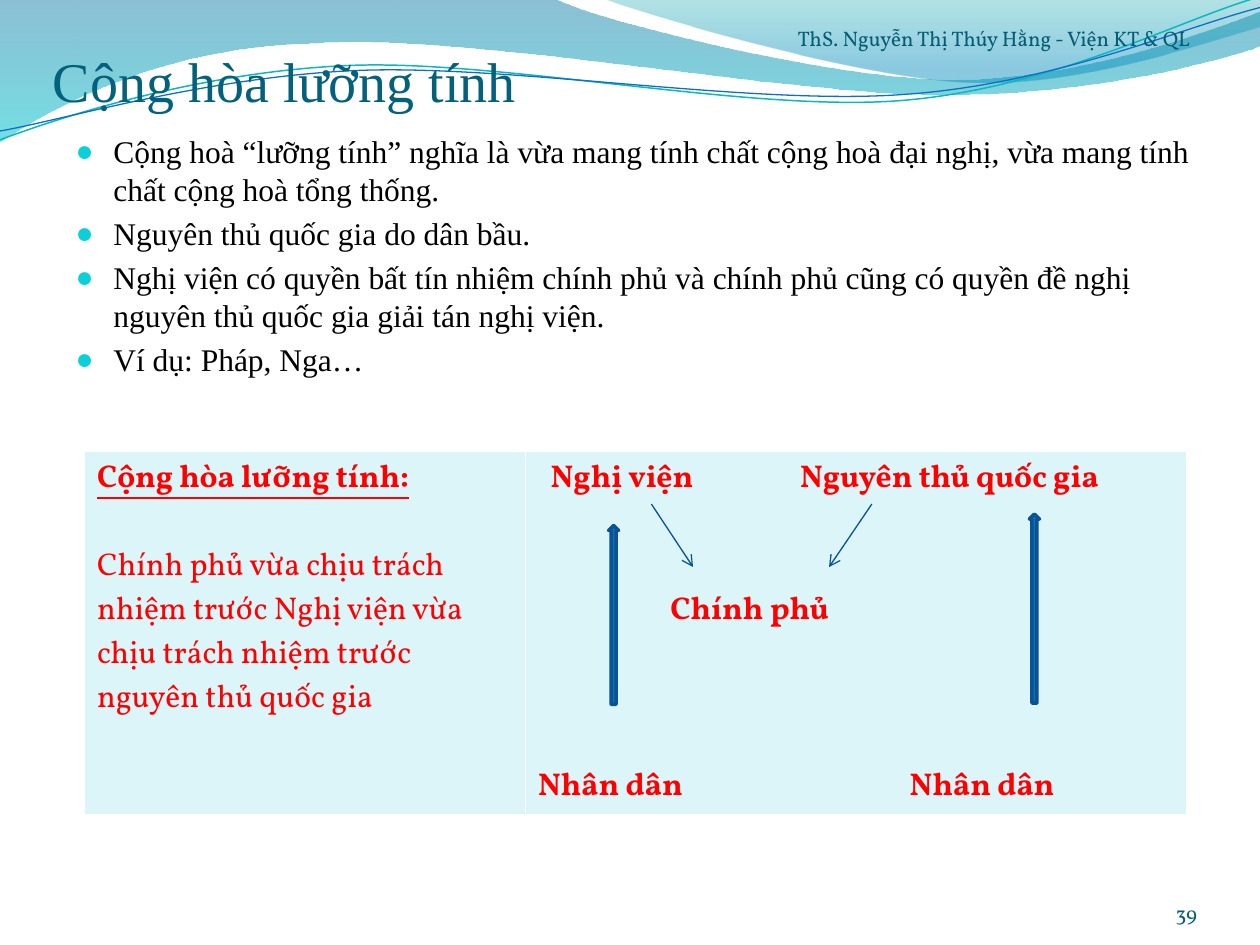
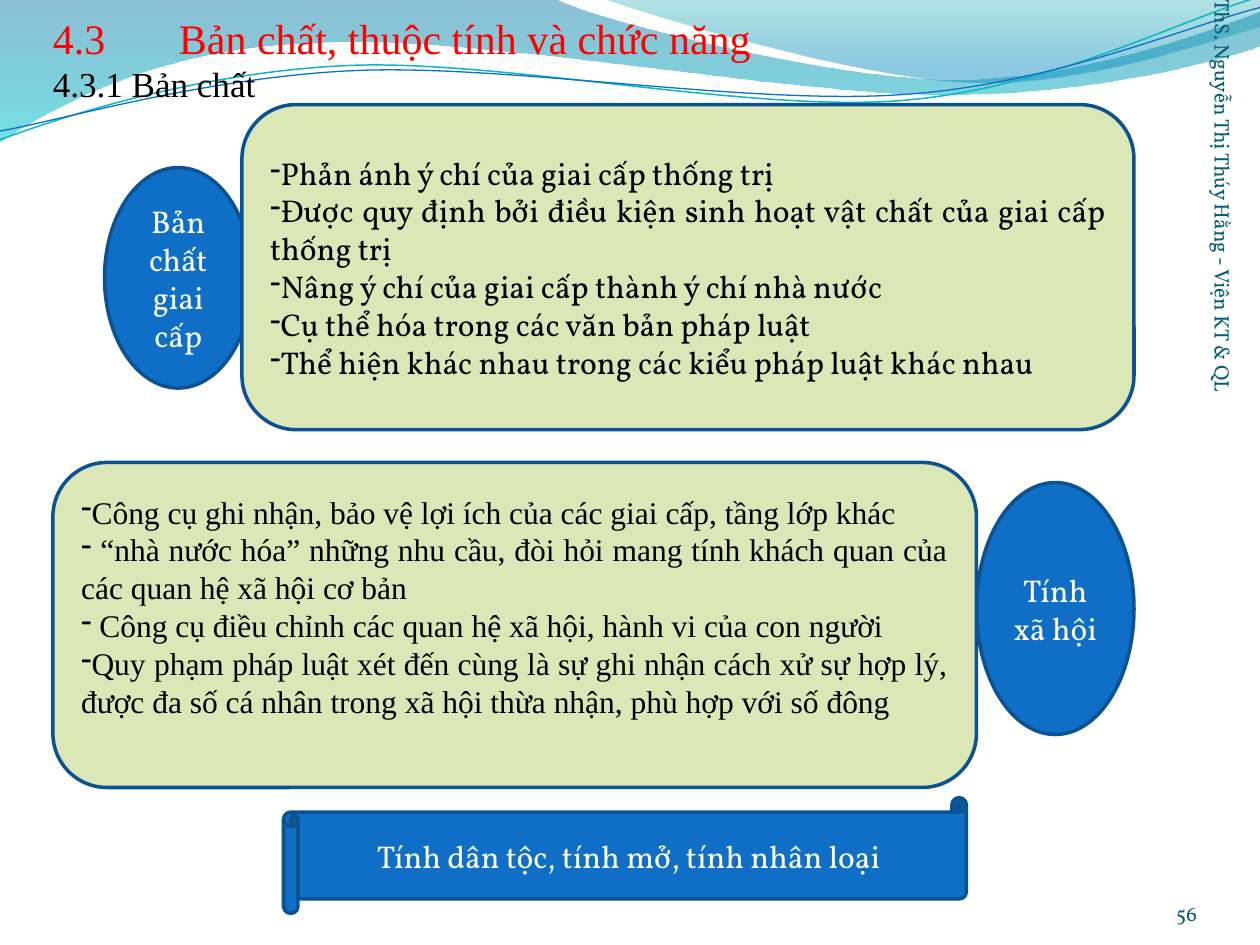
import math

from lxml import etree
from pptx import Presentation
from pptx.dml.color import RGBColor
from pptx.enum import shapes, text
from pptx.oxml import parse_xml
from pptx.oxml.ns import nsdecls, qn
from pptx.util import Inches, Pt

SERIF, BODY = "Times New Roman", "Vollkorn"
TITLE, FOOTER, RED = "04617B", "045D75", "FF0000"
BLUE, EDGE, GREEN, PALE = "0F6FC6", "0B5292", "DBE7B6", "DBF5F9"
BLACK, WHITE, CYAN, ARROW = "000000", "FFFFFF", "0BD0D9", "095295"
LEFT, RIGHT = text.PP_ALIGN.LEFT, text.PP_ALIGN.RIGHT
CENTER, JUSTIFY = text.PP_ALIGN.CENTER, text.PP_ALIGN.JUSTIFY
TOP, MIDDLE, BOTTOM = text.MSO_ANCHOR.TOP, text.MSO_ANCHOR.MIDDLE, text.MSO_ANCHOR.BOTTOM
LINE_PITCH, BLANK_LINE = Pt(21.6), 25.2
WAVE_TILT = 2.7

BANDS = [
    ([(0, 0), (4.4, -0.01), (4.76, 0.17, 6.64, 0.63, 7.58, 0.63),
      (8.53, 0.63, 9.58, 0.26, 10, 0.09), (10.01, 0.36),
      (9.83, 0.44, 8.7, 0.76, 7.46, 0.75), (6.22, 0.75, 3.82, 0.28, 2.57, 0.34),
      (1.29, 0.36, 0.46, 0.83, -0.01, 1.13), (0, 0)],
     [(0, "0074A1", 45), (100, "00C6CF", 55)]),
    ([(4.79, -0.01), (5.09, 0.11, 6.82, 0.62, 7.69, 0.65),
      (8.56, 0.69, 9.61, 0.32, 10, 0.21), (10, 0), (4.79, -0.01)],
     [(0, "00A1A9", 30), (80, "008BBF", 45)]),
]
WAVES = [
    ([(0, 1.11), (0.48, 0.93, 1.58, 0.57, 2.77, 0.52),
      (3.95, 0.47, 5.93, 0.89, 7.13, 0.8), (8.33, 0.71, 9.38, 0.15, 9.98, -0.02)],
     (4.99, 0.57), "0AB8BF", 0.85),
    ([(0, 1.04), (0.47, 0.96, 1.64, 0.61, 2.83, 0.56),
      (4.03, 0.51, 5.97, 0.84, 7.17, 0.75), (8.36, 0.67, 9.41, 0.21, 10, 0.06)],
     (5, 0.59), BLUE, 0.75),
]


def rgb(value):
    return RGBColor.from_string(value)


def box(values):
    return [Inches(value) for value in values]


def add_run(paragraph, words, size, font, color, bold=False, underline=False):
    run = paragraph.add_run()
    run.text = words
    run.font.size, run.font.name = Pt(size), font
    run.font.bold, run.font.underline = bold, underline
    run.font.color.rgb = rgb(color)


def next_paragraph(frame, index):
    return frame.add_paragraph() if index else frame.paragraphs[0]


def set_frame(frame, anchor, margins=(0.1, 0.05, 0.1, 0.05)):
    frame.word_wrap = True
    frame.auto_size = text.MSO_AUTO_SIZE.NONE
    frame.vertical_anchor = anchor
    (frame.margin_left, frame.margin_top,
     frame.margin_right, frame.margin_bottom) = box(margins)


def place(shape, at):
    shape.left, shape.top, shape.width, shape.height = box(at)


def add_bullet(paragraph, mark, color=None, size=100, indent=0):
    props = paragraph._p.get_or_add_pPr()
    props.set("marL", str(Inches(indent)))
    props.set("indent", str(-Inches(indent)))
    if color:
        tint = etree.SubElement(props, qn("a:buClr"))
        etree.SubElement(tint, qn("a:srgbClr"), val=color)
    etree.SubElement(props, qn("a:buSzPct"), val=str(size * 1000))
    if not color:
        etree.SubElement(props, qn("a:buFontTx"))
    etree.SubElement(props, qn("a:buChar"), char=mark)


def add_tabs(paragraph, stops):
    tabs = etree.SubElement(paragraph._p.get_or_add_pPr(), qn("a:tabLst"))
    for stop in stops:
        etree.SubElement(tabs, qn("a:tab"), pos=str(Inches(stop)), algn="l")


def turn(points, center, degrees):
    cos, sin = math.cos(math.radians(degrees)), math.sin(math.radians(degrees))
    turned = []
    for segment in points:
        pairs = [(x - center[0], y - center[1]) for x, y in zip(segment[::2], segment[1::2])]
        turned.append(tuple(value for x, y in pairs for value in (
            center[0] + x * cos - y * sin, center[1] + x * sin + y * cos)))
    return turned


def add_outline(slide, points, close):
    anchors = [box(segment[-2:]) for segment in points]
    builder = slide.shapes.build_freeform(*anchors[0])
    builder.add_line_segments(anchors[1:], close=close)
    outline = builder.convert_to_shape()
    outline.shadow.inherit = False
    strokes = list(outline.element.iter(qn("a:lnTo")))
    for stroke, segment in zip(strokes, points[1:]):
        if len(segment) == 6:
            curve = etree.Element(qn("a:cubicBezTo"))
            for x, y in zip(segment[::2], segment[1::2]):
                etree.SubElement(curve, qn("a:pt"), x=str(Inches(x) - outline.left),
                                 y=str(Inches(y) - outline.top))
            stroke.getparent().replace(stroke, curve)
    return outline


def add_band(slide, points, stops):
    band = add_outline(slide, points, True)
    band.line.fill.background()
    colors = "".join(
        f'<a:gs pos="{pos * 1000}"><a:srgbClr val="{color}">'
        f'<a:alpha val="{alpha * 1000}"/></a:srgbClr></a:gs>'
        for pos, color, alpha in stops)
    gradient = parse_xml(f'<a:gradFill {nsdecls("a")}><a:gsLst>{colors}</a:gsLst>'
                         '<a:lin ang="5400000" scaled="0"/></a:gradFill>')
    band.element.spPr.find(qn("a:custGeom")).addnext(gradient)
    return band


def add_wave(slide, points, center, color, width):
    wave = add_outline(slide, turn(points, center, WAVE_TILT), False)
    wave.rotation = -WAVE_TILT
    wave.fill.background()
    wave.line.color.rgb, wave.line.width = rgb(color), Pt(width)
    return wave


def decorate_master(prs, slide):
    decor = [add_band(slide, *band) for band in BANDS]
    decor += [add_wave(slide, *wave) for wave in WAVES]
    for index, part in enumerate(decor):
        part.element.nvSpPr.cNvPr.set("id", str(20 + index))
        prs.slide_master.shapes.element.insert(2 + index, part.element)


def set_title(slide, at, lines, stops=()):
    title = slide.shapes.title
    place(title, at)
    set_frame(title.text_frame, BOTTOM, (0, 0.05, 0, 0))
    paragraph = title.text_frame.paragraphs[0]
    paragraph.alignment = LEFT
    if stops:
        add_tabs(paragraph, stops)
    for index, (words, size, color) in enumerate(lines):
        if index:
            paragraph.add_line_break()
        add_run(paragraph, words, size, SERIF, color)


def set_list(slide, at, items):
    body = slide.placeholders[1]
    place(body, at)
    set_frame(body.text_frame, TOP)
    for index, item in enumerate(items):
        paragraph = next_paragraph(body.text_frame, index)
        add_bullet(paragraph, "●", CYAN, 95, 0.3)
        paragraph.line_spacing = LINE_PITCH
        paragraph.space_before = Pt(3.6 if index else 0)
        add_run(paragraph, item, 18, SERIF, BLACK)


def add_label(slide, at, words, align=LEFT, rotation=0):
    label = slide.shapes.add_textbox(*box(at))
    label.rotation = rotation
    set_frame(label.text_frame, BOTTOM, (0, 0, 0, 0))
    paragraph = label.text_frame.paragraphs[0]
    paragraph.alignment = align
    add_run(paragraph, words, 12, BODY, FOOTER)


def add_footer(slide, number, author_at, rotation=0):
    add_label(slide, author_at, "ThS. Nguyễn Thị Thúy Hằng - Viện KT & QL", rotation=rotation)
    add_label(slide, (8.67, 6.95, 0.83, 0.4), number, RIGHT)


def add_figure(slide, preset, at, fill=BLUE):
    figure = slide.shapes.add_shape(preset, *box(at))
    figure.shadow.inherit = False
    figure.fill.solid()
    figure.fill.fore_color.rgb = rgb(fill)
    figure.line.color.rgb, figure.line.width = rgb(EDGE), Pt(2)
    return figure


def add_caption(slide, preset, at, words):
    frame = add_figure(slide, preset, at).text_frame
    set_frame(frame, MIDDLE)
    paragraph = frame.paragraphs[0]
    paragraph.alignment, paragraph.line_spacing = CENTER, LINE_PITCH
    add_run(paragraph, words, 18, BODY, WHITE)


def add_panel(slide, at, font, items, bottom=0.05):
    panel = add_figure(slide, shapes.MSO_SHAPE.ROUNDED_RECTANGLE, at, GREEN)
    set_frame(panel.text_frame, MIDDLE, (0.1, 0.05, 0.1, bottom))
    for index, item in enumerate(items):
        paragraph = next_paragraph(panel.text_frame, index)
        add_bullet(paragraph, "-")
        paragraph.alignment, paragraph.line_spacing = JUSTIFY, LINE_PITCH
        add_run(paragraph, item, 18, font, BLACK)


def add_arrow(slide, start, end):
    arrow = slide.shapes.add_connector(shapes.MSO_CONNECTOR.STRAIGHT, *box(start + end))
    arrow.line.color.rgb, arrow.line.width = rgb(ARROW), Pt(0.75)
    etree.SubElement(arrow.line._get_or_add_ln(), qn("a:tailEnd"), type="arrow")
    etree.SubElement(arrow.element.spPr, qn("a:effectLst"))


def fill_cell(cell, lines):
    cell.fill.solid()
    cell.fill.fore_color.rgb = rgb(PALE)
    for index, (side, width) in enumerate([("L", 1), ("R", 1), ("T", 1), ("B", 3)]):
        border = parse_xml(f'<a:ln{side} {nsdecls("a")} w="{Pt(width)}"><a:solidFill>'
                           f'<a:srgbClr val="{WHITE}"/></a:solidFill></a:ln{side}>')
        cell._tc.get_or_add_tcPr().insert(index, border)
    for index, (words, blanks, stops, bold, underline) in enumerate(lines):
        paragraph = next_paragraph(cell.text_frame, index)
        if stops:
            add_tabs(paragraph, stops)
        if blanks:
            paragraph.space_before = Pt(BLANK_LINE * blanks)
        add_run(paragraph, words, 18, BODY, RED, bold, underline)


def add_regime_table(slide):
    table = slide.shapes.add_table(1, 2, *box((0.67, 3.58, 8.75, 2.67))).table
    table.first_row = table.horz_banding = False
    table.columns[0].width, table.columns[1].width = box((3.5, 5.25))
    fill_cell(table.cell(0, 0), [
        ("Cộng hòa lưỡng tính:", 0, (), True, True),
        ("Chính phủ vừa chịu trách nhiệm trước Nghị viện vừa chịu trách nhiệm "
         "trước nguyên thủ quốc gia", 1, (), False, False)])
    fill_cell(table.cell(0, 1), [
        ("\tNghị viện\tNguyên thủ quốc gia", 0, (0.1, 2.08), True, False),
        ("\tChính phủ", 2, (1.05,), True, False),
        ("Nhân dân\tNhân dân", 3, (2.95,), True, False)])


def build_republic(slide):
    set_title(slide, (0.42, 0.17, 9, 0.73), [("Cộng hòa lưỡng tính", 32, TITLE)])
    set_list(slide, (0.5, 1, 9.33, 5.83), [
        "Cộng hoà “lưỡng tính” nghĩa là vừa mang tính chất cộng hoà đại nghị, "
        "vừa mang tính chất cộng hoà tổng thống.",
        "Nguyên thủ quốc gia do dân bầu.",
        "Nghị viện có quyền bất tín nhiệm chính phủ và chính phủ cũng có quyền "
        "đề nghị nguyên thủ quốc gia giải tán nghị viện.",
        "Ví dụ: Pháp, Nga…"])
    add_regime_table(slide)
    for vote_at in [(4.83, 4.17, 0.08, 1.42), (8.17, 4.08, 0.08, 1.5)]:
        add_figure(slide, shapes.MSO_SHAPE.UP_ARROW, vote_at)
    add_arrow(slide, (5.17, 4), (5.5, 4.5))
    add_arrow(slide, (6.92, 4), (6.58, 4.5))
    add_footer(slide, "39", (6.33, 0, 3.67, 0.4))


def build_nature(slide):
    oval = shapes.MSO_SHAPE.OVAL
    set_title(slide, (0.42, 0, 8.58, 0.83), [
        ("4.3\tBản chất, thuộc tính và chức năng", 24, RED),
        ("4.3.1 Bản chất", 20, BLACK)], (1,))
    add_caption(slide, oval, (0.83, 1.33, 1.17, 1.75), "Bản chất giai cấp")
    add_panel(slide, (1.92, 0.83, 7.08, 2.58), BODY, [
        "Phản ánh ý chí của giai cấp thống trị",
        "Được quy định bởi điều kiện sinh hoạt vật chất của giai cấp thống trị",
        "Nâng ý chí của giai cấp thành ý chí nhà nước",
        "Cụ thể hóa trong các văn bản pháp luật",
        "Thể hiện khác nhau trong các kiểu pháp luật khác nhau"])
    add_caption(slide, oval, (7.75, 3.83, 1.25, 2), "Tính xã hội")
    add_panel(slide, (0.42, 3.67, 7.33, 2.58), SERIF, [
        "Công cụ ghi nhận, bảo vệ lợi ích của các giai cấp, tầng lớp khác",
        " “nhà nước hóa” những nhu cầu, đòi hỏi mang tính khách quan của "
        "các quan hệ xã hội cơ bản",
        " Công cụ điều chỉnh các quan hệ xã hội, hành vi của con người",
        "Quy phạm pháp luật xét đến cùng là sự ghi nhận cách xử sự hợp lý, "
        "được đa số cá nhân trong xã hội thừa nhận, phù hợp với số đông"], 0.35)
    add_caption(slide, shapes.MSO_SHAPE.HORIZONTAL_SCROLL, (2.25, 6.33, 5.42, 0.92),
                "Tính dân tộc, tính mở, tính nhân loại")
    add_footer(slide, "56", (7.97, 1.63, 3.67, 0.4), 90)


def main():
    prs = Presentation()
    prs.slide_width, prs.slide_height = box((10, 7.5))
    republic = prs.slides.add_slide(prs.slide_layouts[1])
    nature = prs.slides.add_slide(prs.slide_layouts[5])
    decorate_master(prs, republic)
    build_republic(republic)
    build_nature(nature)
    prs.save("out.pptx")


if __name__ == "__main__":
    main()
